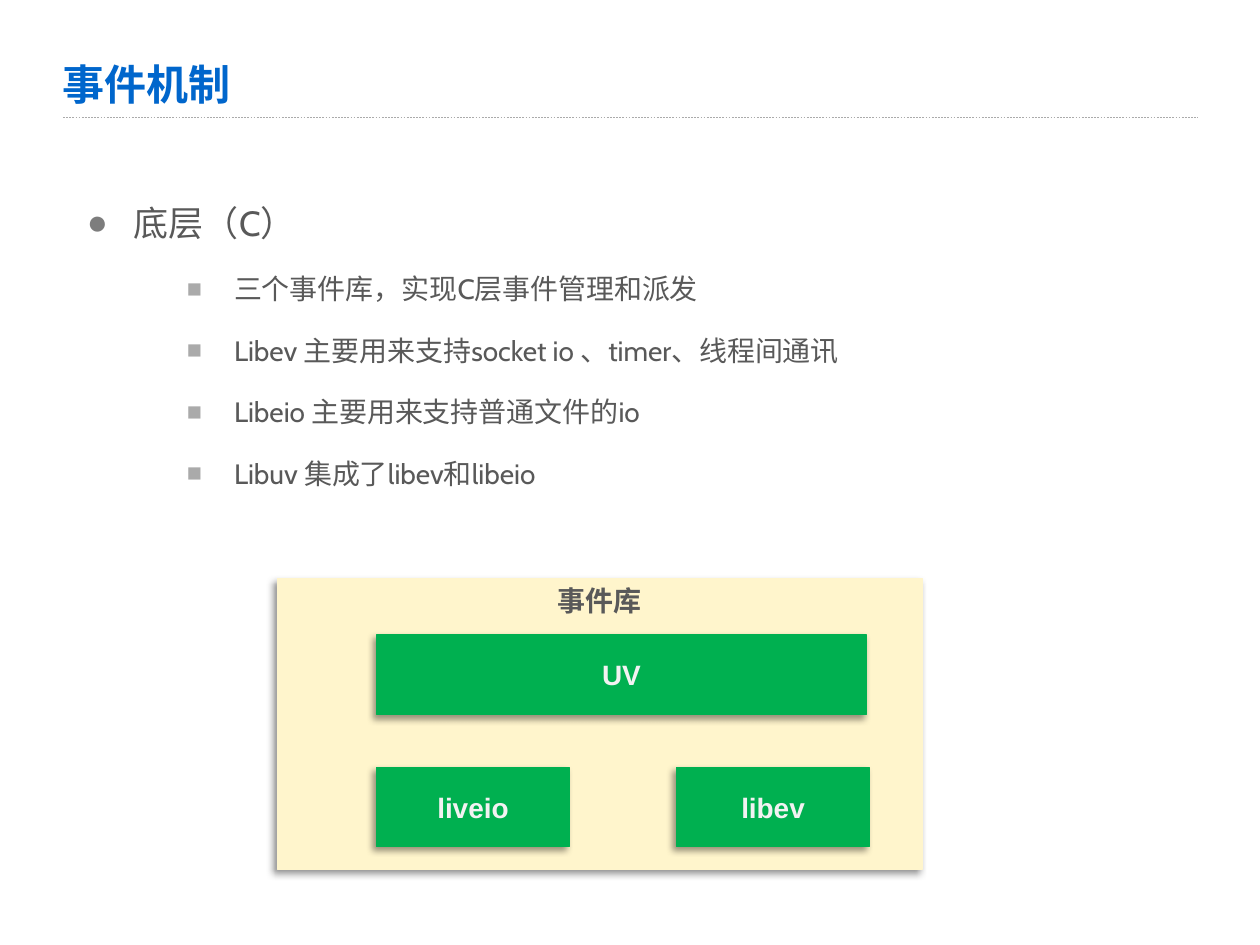
from lxml import etree
from pptx import Presentation
from pptx import util as u
from pptx.dml.color import RGBColor
from pptx.enum import dml, shapes, text
from pptx.oxml import parse_xml
from pptx.oxml.ns import qn

NS = 'xmlns:a="http://schemas.openxmlformats.org/drawingml/2006/main"'
GREY = "595959"


def color(code):
    return RGBColor.from_string(code)


def style(obj, **fmt):
    for key, val in fmt.items():
        setattr(obj, key, val)


def sub(node, tag, **attrs):
    return etree.SubElement(node, qn("a:" + tag), attrs)


def write(para, words, font, size, tint, bold=False):
    run = para.add_run()
    run.text = words
    style(run.font, name=font, size=u.Pt(size), bold=bold)
    run.font.color.rgb = color(tint)


def space(para, pct):
    props = para._p.get_or_add_pPr()
    sub(sub(props, "spcBef"), "spcPct", val=str(pct * 1000))
    return props


def add_title(slide, x, y, w, h, words):
    # Heading
    frame = slide.shapes.add_textbox(u.Cm(x), u.Cm(y), u.Cm(w), u.Cm(h)).text_frame
    style(frame, word_wrap=True, margin_left=0,
          vertical_anchor=text.MSO_ANCHOR.BOTTOM)
    para = frame.paragraphs[0]
    para.line_spacing = 0.9
    write(para, words, "DejaVu Sans", 24, "0066CC", True)

    # Dashed rule below
    base = u.Cm(y + 1.34)
    rule = slide.shapes.add_connector(
        shapes.MSO_CONNECTOR.STRAIGHT, u.Cm(x), base, u.Cm(x + 22.89), base)
    style(rule.line, width=u.Pt(0.25), dash_style=dml.MSO_LINE.DASH)
    rule.line.color.rgb = color("AAAAAA")
    sub(rule._element.spPr, "effectLst")


def add_list(slide, x, y, w, h, head, items):
    frame = slide.shapes.add_textbox(u.Cm(x), u.Cm(y), u.Cm(w), u.Cm(h)).text_frame
    frame.word_wrap = True
    # Level, left indent, text size, bullet, bullet colour, bullet size
    top = (1, 0.95, 20, "●", "7D7D7D", 100)
    low = (2, 2.97, 16, "■", "AAAAAA", 90)
    rows = [(head, top)] + [(item, low) for item in items]
    for i, (words, (level, left, size, mark, tint, pct)) in enumerate(rows):
        para = frame.add_paragraph() if i else frame.paragraphs[0]
        para.level = level
        props = space(para, 100)
        props.set("marL", str(u.Cm(left)))
        props.set("indent", str(u.Cm(-0.95)))
        sub(sub(props, "buClr"), "srgbClr", val=tint)
        sub(props, "buSzPct", val=str(pct * 1000))
        sub(props, "buFont", typeface="Arial")
        sub(props, "buChar", char=mark)
        write(para, words, "Cabin", size, GREY)


def add_block(slide, x, y, w, h, words, fill, tint, anchor):
    box = slide.shapes.add_shape(
        shapes.MSO_SHAPE.RECTANGLE, u.Cm(x), u.Cm(y), u.Cm(w), u.Cm(h))
    box.fill.solid()
    box.fill.fore_color.rgb = color(fill)
    box.line.color.rgb = color(fill)
    box.line.width = u.Pt(0.75)
    # Soft shadow to the lower left
    box._element.spPr.append(parse_xml(
        f'<a:effectLst {NS}><a:outerShdw blurRad="{u.Pt(4)}" dist="{u.Pt(3)}" '
        'dir="8100000" algn="tr" rotWithShape="0"><a:srgbClr val="000000">'
        '<a:alpha val="40000"/></a:srgbClr></a:outerShdw></a:effectLst>'))
    style(box.text_frame, word_wrap=False, vertical_anchor=anchor,
          margin_left=u.Cm(0.23), margin_right=u.Cm(0.23),
          margin_top=u.Cm(0.1), margin_bottom=u.Cm(0.1))
    para = box.text_frame.paragraphs[0]
    para.alignment = text.PP_ALIGN.CENTER
    space(para, 50)
    write(para, words, "Arial", 16, tint, True)


def add_stack(slide, x, y, w, h):
    # Panel behind
    add_block(slide, x, y, w, h, "事件库", "FFF5CC", GREY, text.MSO_ANCHOR.TOP)
    # Library blocks: offset in the panel and width
    for dx, dy, wide, name in ((2, 3.81, 3.89, "liveio"),
                               (2, 1.14, 9.88, "UV"),
                               (8.05, 3.81, 3.89, "libev")):
        add_block(slide, x + dx, y + dy, wide, 1.6, name,
                  "00B050", "F2F2F2", text.MSO_ANCHOR.MIDDLE)


def main():
    deck = Presentation()
    style(deck, slide_width=u.Cm(25.4), slide_height=u.Cm(19.05))
    slide = deck.slides.add_slide(deck.slide_layouts[6])
    add_title(slide, 1.27, 1.02, 19.74, 1.32, "事件机制")
    add_list(slide, 1.5, 3.94, 19.43, 1.14, "底层（C）", (
        "三个事件库，实现C层事件管理和派发",
        "Libev 主要用来支持socket io 、timer、线程间通讯",
        "Libeio 主要用来支持普通文件的io",
        "Libuv 集成了libev和libeio"))
    add_stack(slide, 5.59, 11.66, 13, 5.87)
    deck.save("out.pptx")


if __name__ == "__main__":
    main()
